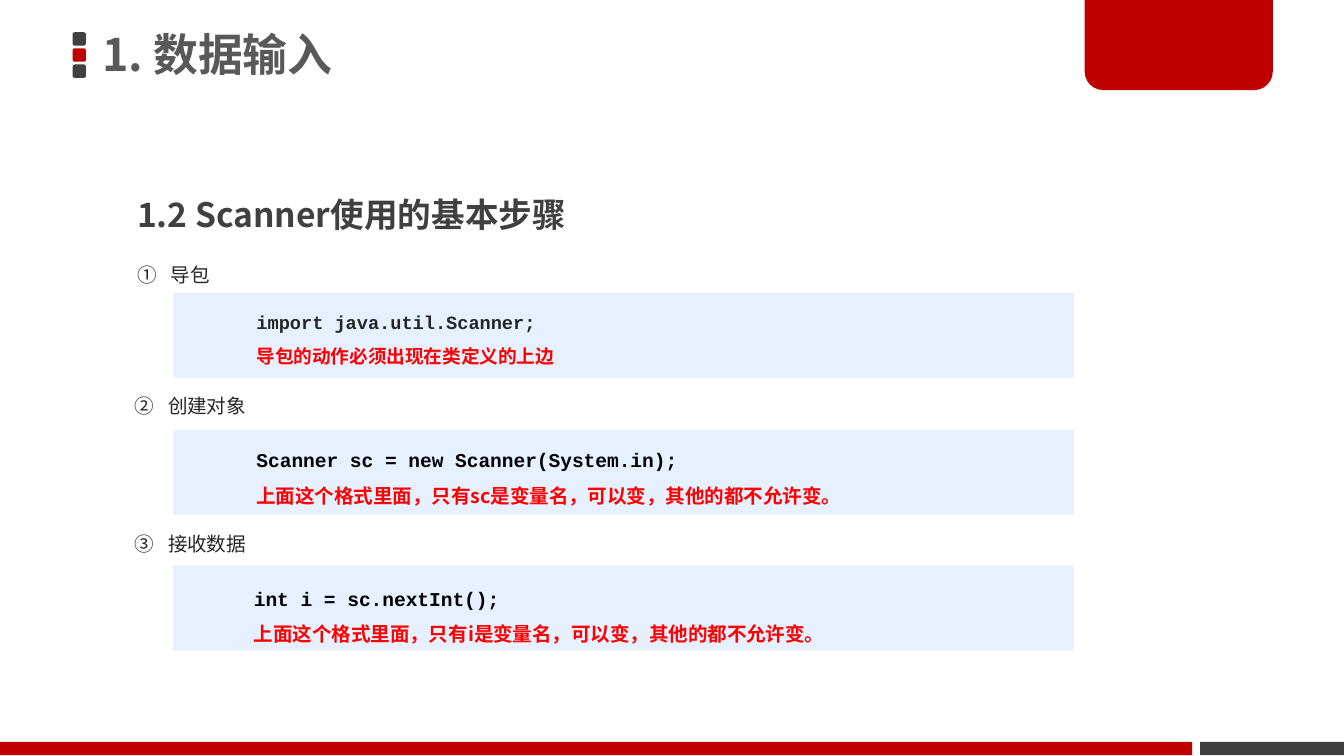
import pptx
import pptx.util
import pptx.dml.color
import pptx.enum.shapes
import pptx.enum.text
from lxml import etree

Inches, Pt = pptx.util.Inches, pptx.util.Pt
RGB = pptx.dml.color.RGBColor.from_string
MSO = pptx.enum.shapes.MSO_SHAPE
ANCHOR = pptx.enum.text.MSO_ANCHOR
A = "{http://schemas.openxmlformats.org/drawingml/2006/main}"
CJK, CODE = "Noto Sans CJK SC", "Courier New"
COLORS = {"red": "C00000", "dark": "404040", "title": "595959", "body": "262626",
          "panel": "E6F0FF", "note": "FF0000", "black": "000000"}

# 16:9 slide
prs = pptx.Presentation()
prs.slide_width, prs.slide_height = Inches(10), Inches(10) * 9 // 16
s = prs.slides.add_slide(prs.slide_layouts.get_by_name("Comparison"))


def add_block(kind, color, *box):
    sp = s.shapes.add_shape(kind, *map(Inches, box))
    sp.shadow.inherit = False
    sp.fill.solid()
    sp.fill.fore_color.rgb = RGB(COLORS[color])
    sp.line.fill.background()
    return sp


def write_text(sp, box, lines, spacing=1.5, anchor=ANCHOR.TOP):
    """Place a text shape and fill it with (text, size, font, color, bold) lines."""
    for name, value in zip(("left", "top", "width", "height"), box):
        setattr(sp, name, Inches(value))
    tf = sp.text_frame
    frame = {"word_wrap": True, "auto_size": pptx.enum.text.MSO_AUTO_SIZE.NONE,
             "vertical_anchor": anchor}
    for name, value in frame.items():
        setattr(tf, name, value)
    for i, (text, size, font, color, bold) in enumerate(lines):
        p = tf.paragraphs[0] if i == 0 else tf.add_paragraph()
        para = {"alignment": pptx.enum.text.PP_ALIGN.LEFT, "line_spacing": spacing,
                "space_before": Pt(0), "space_after": Pt(0)}
        for name, value in para.items():
            setattr(p, name, value)
        r = p.add_run()
        r.text = text
        for name, value in {"size": Pt(size), "name": font, "bold": bold}.items():
            setattr(r.font, name, value)
        r.font.color.rgb = RGB(COLORS[color])
        latin = r.font._element.find(A + "latin")
        latin.addnext(latin.makeelement(A + "ea", {"typeface": CJK}))
    return tf


# Title marker: three stacked squares
for i, color in enumerate(("dark", "red", "dark")):
    add_block(MSO.ROUNDED_RECTANGLE, color, 0.54, 0.24 + 0.12 * i, 0.1, 0.1)

# Corner tab and footer bars
tab = add_block(MSO.ROUND_2_SAME_RECTANGLE, "red", 8.07, -0.02, 1.4, 0.69)
tab.adjustments[0] = 0.2
tab.rotation = 180
add_block(MSO.RECTANGLE, "red", 0, 5.52, 8.87, 0.1)
add_block(MSO.RECTANGLE, "dark", 8.93, 5.52, 1.07, 0.1)

# Title and subheading
title, heading, *steps = s.placeholders
tf = write_text(title, (0.69, -0.02, 5.89, 0.89),
                [("1. 数据输入", 24, CJK, "title", True)], 0.9, ANCHOR.MIDDLE)
margins = {"margin_left": 0.07, "margin_right": 0.07,
           "margin_top": 0.04, "margin_bottom": 0.04}
for name, value in margins.items():
    setattr(tf, name, Inches(value))
write_text(heading, (0.92, 1.24, 3.84, 0.5),
           [("1.2 Scanner使用的基本步骤", 18, CJK, "dark", True)])

# Numbered steps
labels = [("导包", 0.92, 1.82), ("创建对象", 0.9, 2.79), ("接收数据", 0.9, 3.82)]
for n, (sp, (label, x, y)) in enumerate(zip(steps, labels), 1):
    tf = write_text(sp, (x, y, 6.19, 0.34), [(label, 10.5, CJK, "body", False)])
    pPr = tf.paragraphs[0]._p.get_or_add_pPr()
    pPr.set("marL", str(Inches(0.25)))
    pPr.set("indent", str(-Inches(0.25)))
    etree.SubElement(pPr, A + "buFont", typeface="+mj-ea")
    etree.SubElement(pPr, A + "buAutoNum", type="circleNumDbPlain", startAt=str(n))

# Code panels: a code line with a red note below
panels = [
    (2.18, 1.81, 2.18, 10, "body", CODE, "import java.util.Scanner;",
     "导包的动作必须出现在类定义的上边"),
    (3.2, 1.81, 3.2, 10.5, "black", CJK, "Scanner sc = new Scanner(System.in);",
     "上面这个格式里面，只有sc是变量名，可以变，其他的都不允许变。"),
    (4.21, 1.79, 4.23, 10.5, "black", CJK, "int i = sc.nextInt();",
     "上面这个格式里面，只有i是变量名，可以变，其他的都不允许变。"),
]
for top, x, y, size, color, note_font, code, note in panels:
    add_block(MSO.RECTANGLE, "panel", 1.29, top, 6.7, 0.63)
    box = (x, y, 6.19, 0.63)
    write_text(s.shapes.add_textbox(*map(Inches, box)), box,
               [(code, size, CODE, color, True), (note, size, note_font, "note", True)])

prs.save("out.pptx")
